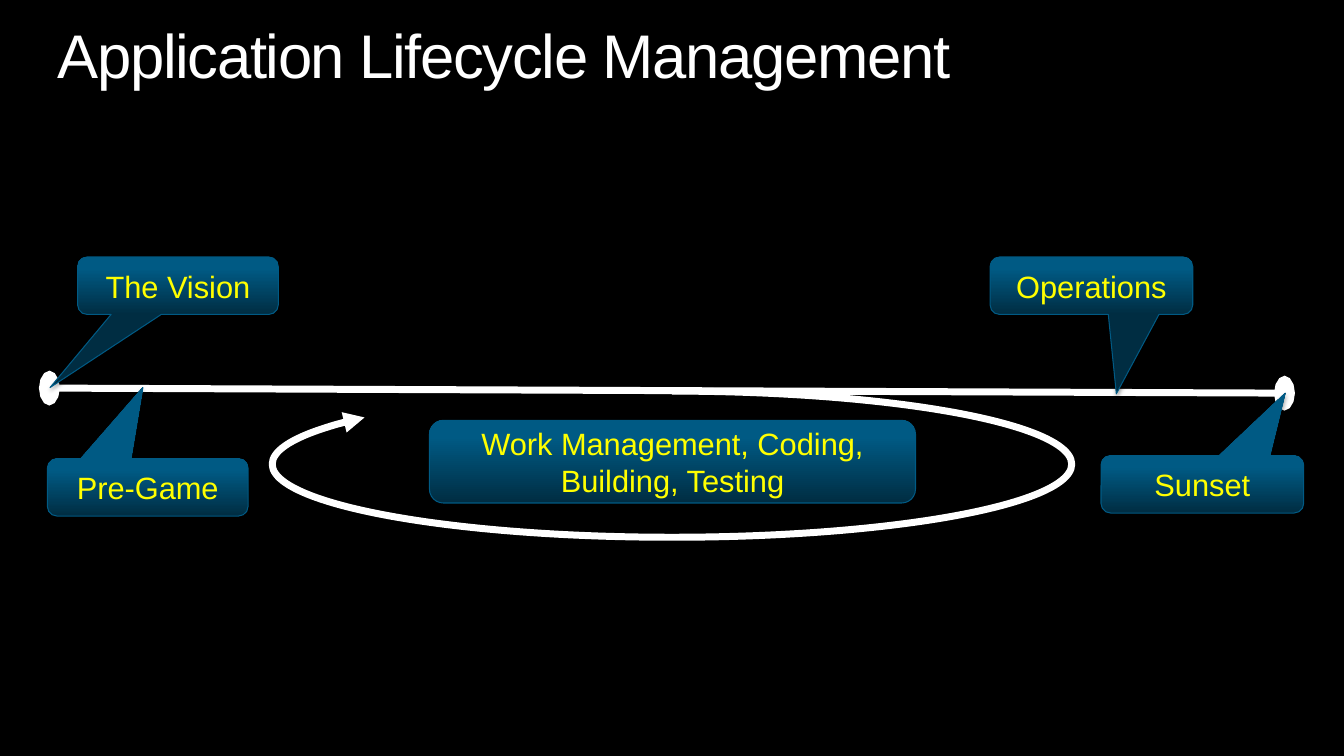
from lxml import etree
from pptx import Presentation
from pptx.dml.color import RGBColor
from pptx.enum.shapes import MSO_CONNECTOR, MSO_SHAPE
from pptx.enum.text import MSO_ANCHOR, MSO_AUTO_SIZE, PP_ALIGN
from pptx.oxml.ns import qn
from pptx.util import Inches, Pt

CALLOUT = MSO_SHAPE.ROUNDED_RECTANGULAR_CALLOUT
ROUNDED = MSO_SHAPE.ROUNDED_RECTANGLE
ARC = MSO_SHAPE.ARC
STRAIGHT = MSO_CONNECTOR.STRAIGHT
TOP, MIDDLE = MSO_ANCHOR.TOP, MSO_ANCHOR.MIDDLE
LEFT, CENTER = PP_ALIGN.LEFT, PP_ALIGN.CENTER

THEME = {
    "back": RGBColor(0, 0, 0),
    "white": RGBColor(255, 255, 255),
    "label": RGBColor(255, 255, 0),
    "dark": RGBColor(0, 0x2D, 0x42),
    "blue": RGBColor(0, 0x5A, 0x84),
    "font": "Arial",
    "title": Pt(44),
    "text": Pt(22),
    "thick": Pt(5),
    "thin": Pt(0.75),
}


def set_text(shape, text, size, color, frame_style, para_style):
    frame = shape.text_frame
    frame.text = text
    para = frame.paragraphs[0]
    font_style = {"name": THEME["font"], "size": size}
    run = para.runs[0]
    for part, style in ((frame, frame_style), (para, para_style), (run.font, font_style)):
        for name, value in style.items():
            setattr(part, name, value)
    run.font.color.rgb = color
    return run


def set_line(shape, **ends):
    shape.line.color.rgb = THEME["white"]
    shape.line.width = THEME["thick"]
    ln = shape.line._get_or_add_ln()
    for tag, style in ends.items():
        etree.SubElement(ln, qn("a:" + tag), style)


deck = Presentation()
deck.slide_width, deck.slide_height = Inches(13.33), Inches(7.5)
slide = deck.slides.add_slide(deck.slide_layouts[5])
slide.background.fill.solid()
slide.background.fill.fore_color.rgb = THEME["back"]

# Title
title = slide.shapes.title
title.left, title.top = Inches(0.57), Inches(0.25)
title.width, title.height = Inches(12.19), Inches(0.67)
run = set_text(
    title, "Application Lifecycle Management", THEME["title"], THEME["white"],
    {"margin_left": 0, "margin_right": 0, "margin_top": 0, "margin_bottom": 0,
     "vertical_anchor": TOP, "word_wrap": True,
     "auto_size": MSO_AUTO_SIZE.SHAPE_TO_FIT_TEXT},
    {"alignment": LEFT, "line_spacing": 0.9},
)
run.font._element.set("spc", "-100")

# Time line
axis = slide.shapes.add_connector(
    STRAIGHT, Inches(0.49), Inches(3.85), Inches(12.74), Inches(3.9))
oval = {"type": "oval", "w": "lg", "len": "med"}
set_line(axis, headEnd=oval, tailEnd=oval)
etree.SubElement(axis._element.spPr, qn("a:effectLst"))

# Work loop
loop = slide.shapes.add_shape(
    ARC, Inches(2.7), Inches(3.88), Inches(7.93), Inches(1.45))
loop.adjustments[0], loop.adjustments[1] = 162, 113.185
loop.fill.background()
loop.shadow.inherit = False
set_line(loop, tailEnd={"type": "triangle"})

# Phase labels: text, kind, left, top, width, height, adjustments
PHASES = [
    ("The Vision", CALLOUT, 0.77, 2.55, 1.99, 0.57, (-0.638, 1.773, 0.167)),
    ("Sunset", CALLOUT, 10.92, 4.52, 2.01, 0.57, (0.409, -1.587, 0.167)),
    ("Pre-Game", CALLOUT, 0.47, 4.55, 1.99, 0.57, (-0.024, -1.738, 0.167)),
    ("Operations", CALLOUT, 9.82, 2.55, 2.01, 0.57, (0.123, 1.881, 0.167)),
    ("Work Management, Coding, Building, Testing", ROUNDED,
     4.26, 4.17, 4.82, 0.82, (0.167,)),
]
for text, kind, left, top, width, height, adjust in PHASES:
    box = slide.shapes.add_shape(
        kind, Inches(left), Inches(top), Inches(width), Inches(height))
    for index, value in enumerate(adjust):
        box.adjustments[index] = value

    # Dark at the bottom, blue from 80 % up
    box.fill.gradient()
    box.fill.gradient_angle = 90
    low, high = box.fill.gradient_stops
    low.color.rgb, high.color.rgb = THEME["dark"], THEME["blue"]
    low.position, high.position = 0, 0.8
    box.line.color.rgb = THEME["blue"]
    box.line.width = THEME["thin"]

    # Soft shadow below
    box.shadow.inherit = False
    effects = box._element.spPr.find(qn("a:effectLst"))
    shade = etree.SubElement(effects, qn("a:outerShdw"), {
        "blurRad": str(Pt(3.1)), "dist": str(Pt(1.8)),
        "dir": "5400000", "rotWithShape": "0"})
    tint = etree.SubElement(shade, qn("a:srgbClr"), {"val": str(THEME["back"])})
    etree.SubElement(tint, qn("a:alpha"), {"val": "35000"})

    set_text(box, text, THEME["text"], THEME["label"],
             {"vertical_anchor": MIDDLE, "word_wrap": True}, {"alignment": CENTER})

deck.save("out.pptx")
